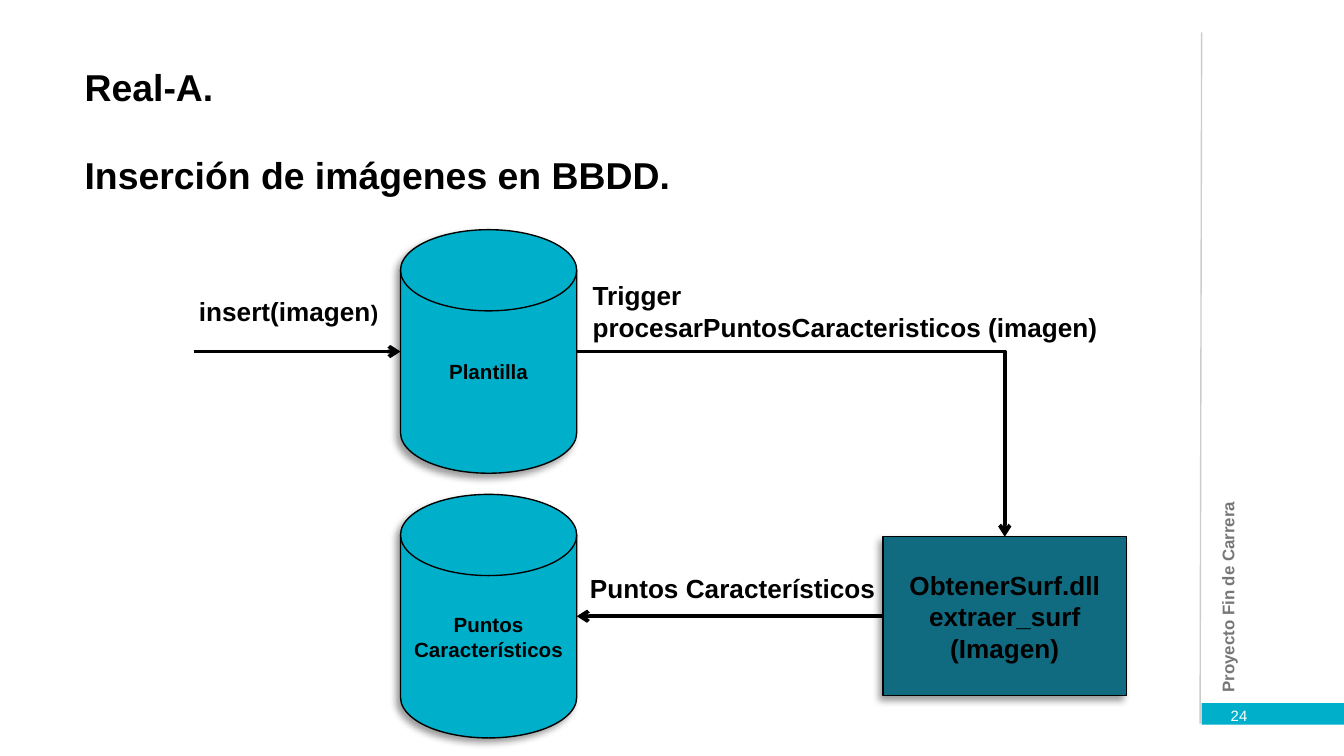
from lxml.etree import SubElement
from pptx import Presentation
from pptx.dml.color import RGBColor
from pptx.enum.shapes import MSO_CONNECTOR, MSO_SHAPE
from pptx.enum.text import MSO_ANCHOR, PP_ALIGN
from pptx.oxml.ns import qn
from pptx.util import Cm, Pt


def color(hex_code):
    return RGBColor.from_string(hex_code)


def write(shape, lines, size, ink="000000", bold=True,
          anchor=MSO_ANCHOR.TOP, align=PP_ALIGN.LEFT):
    """Fill a shape with lines, each a list of (text, size) runs or a string."""
    frame = shape.text_frame
    frame.word_wrap = True
    frame.vertical_anchor = anchor
    for i, line in enumerate(lines):
        paragraph = frame.add_paragraph() if i else frame.paragraphs[0]
        paragraph.alignment = align
        for text, points in [(line, size)] if isinstance(line, str) else line:
            run = paragraph.add_run()
            run.text = text
            font_format = {"name": "Arial", "size": Pt(points), "bold": bold}
            for attribute, value in font_format.items():
                setattr(run.font, attribute, value)
            run.font.color.rgb = color(ink)
    return frame


CYAN, TEAL, BLACK = "00B0CA", "106A80", "000000"

prs = Presentation()
prs.slide_width, prs.slide_height = Cm(25.4), Cm(14.28)
slide = prs.slides.add_slide(prs.slide_layouts[6])
shapes = slide.shapes

# Side band: page number bar and rotated project name
page_bar = shapes.add_shape(MSO_SHAPE.RECTANGLE, Cm(22.71), Cm(13.28), Cm(2.69), Cm(0.41))
page_bar.shadow.inherit = False
page_bar.fill.solid()
page_bar.fill.fore_color.rgb = color(CYAN)
page_bar.line.fill.background()

project = shapes.add_textbox(Cm(19.63), Cm(9.22), Cm(7.14), Cm(0.58))
project.rotation = 270
project_frame = write(project, ["Proyecto Fin de Carrera"], 9, "777777", anchor=MSO_ANCHOR.MIDDLE)
for side in ("left", "right", "top", "bottom"):
    setattr(project_frame, f"margin_{side}", 0)

page_number = shapes.add_textbox(Cm(23.01), Cm(13.23), Cm(2.39), Cm(0.46))
write(page_number, ["24"], 8, "FFFFFF", bold=False)

# Title and subtitle
title = shapes.add_textbox(Cm(1.35), Cm(1.12), Cm(20.93), Cm(1.2))
write(title, ["Real-A."], 20).paragraphs[0].line_spacing = Pt(23)
subtitle = shapes.add_textbox(Cm(1.35), Cm(2.74), Cm(20.93), Cm(1.19))
write(subtitle, ["Inserción de imágenes en BBDD."], 20)

# Databases and extraction process, each with a soft shadow
disk_left, disk_width, disk_height = 7.57, 3.33, 4.6
disk_right = disk_left + disk_width
upper_top, lower_top = 4.34, 9.34
upper_mid, lower_mid = upper_top + disk_height / 2, lower_top + disk_height / 2
process_left, process_top, process_width, process_height = 16.69, 10.14, 4.6, 3
process_mid = process_left + process_width / 2

DISK, PROCESS = MSO_SHAPE.FLOWCHART_MAGNETIC_DISK, MSO_SHAPE.FLOWCHART_PROCESS
nodes = [
    (DISK, disk_left, upper_top, disk_width, disk_height, CYAN, 11, ["Plantilla"]),
    (DISK, disk_left, lower_top, disk_width, disk_height, CYAN, 11,
     ["Puntos", "Característicos"]),
    (PROCESS, process_left, process_top, process_width, process_height, TEAL, 14,
     ["ObtenerSurf.dll", "extraer_surf", "(Imagen)"]),
]
for kind, left, top, width, height, fill, size, lines in nodes:
    node = shapes.add_shape(kind, Cm(left), Cm(top), Cm(width), Cm(height))
    node.fill.solid()
    node.fill.fore_color.rgb = color(fill)
    node.line.color.rgb = color(BLACK)
    node.line.width = Pt(0.75)
    node.shadow.inherit = False
    effects = node.element.spPr.find(qn("a:effectLst"))
    shadow = SubElement(effects, qn("a:outerShdw"), blurRad=str(Pt(4)), dist=str(Pt(3)),
                        dir=str(135 * 60000), algn="tr", rotWithShape="0")
    shade = SubElement(shadow, qn("a:srgbClr"), val=BLACK)
    SubElement(shade, qn("a:alpha"), val="40000")
    write(node, lines, size, anchor=MSO_ANCHOR.MIDDLE, align=PP_ALIGN.CENTER)

# Side rule and flow arrows
STRAIGHT, ELBOW = MSO_CONNECTOR.STRAIGHT, MSO_CONNECTOR.ELBOW
links = [
    (STRAIGHT, 22.71, 0.61, 22.68, 13.67, "CCCCCC", 0.75, False),
    (STRAIGHT, 3.66, upper_mid, disk_left, upper_mid, BLACK, 2, True),
    (STRAIGHT, process_left, lower_mid, disk_right, lower_mid, BLACK, 2, True),
    (ELBOW, disk_right, upper_mid, process_mid, process_top, BLACK, 2, True),
]
for kind, x1, y1, x2, y2, ink, width, has_arrow in links:
    link = shapes.add_connector(kind, Cm(x1), Cm(y1), Cm(x2), Cm(y2))
    link.line.color.rgb = color(ink)
    link.line.width = Pt(width)
    properties = link.element.spPr
    if has_arrow:
        SubElement(properties.find(qn("a:ln")), qn("a:tailEnd"), type="arrow")
    if kind == ELBOW:  # a single bend
        properties.find(qn("a:prstGeom")).set("prst", "bentConnector2")
    SubElement(properties, qn("a:effectLst"))

# Arrow labels
labels = [
    (3.51, 5.46, 4.06, 0.86, [[("insert(imagen", 14), (")", 12)]]),
    (10.95, 5.16, 10.74, 1.45, ["Trigger", "procesarPuntosCaracteristicos (imagen)"]),
    (10.9, 10.69, 6.45, 0.86, ["Puntos Característicos"]),
]
for left, top, width, height, lines in labels:
    label = shapes.add_textbox(Cm(left), Cm(top), Cm(width), Cm(height))
    write(label, lines, 14)

prs.save("out.pptx")
